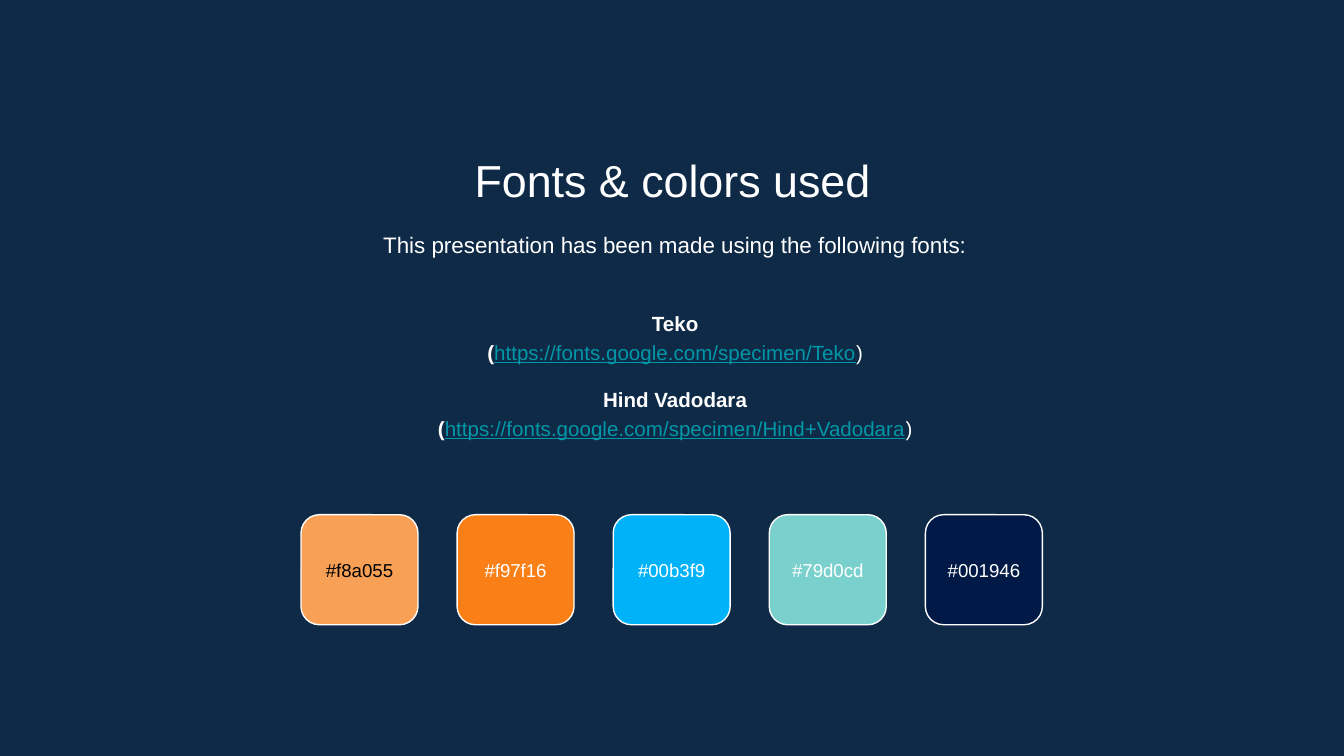
from pptx import Presentation
from pptx.dml.color import RGBColor
from pptx.enum.shapes import MSO_SHAPE
from pptx.enum.text import MSO_ANCHOR, MSO_AUTO_SIZE, PP_ALIGN
from pptx.util import Cm, Pt

ROUNDED = MSO_SHAPE.ROUNDED_RECTANGLE
TOP, MIDDLE = MSO_ANCHOR.TOP, MSO_ANCHOR.MIDDLE
NO_AUTOFIT = MSO_AUTO_SIZE.NONE
CENTER = PP_ALIGN.CENTER

NAVY = RGBColor(0x0E, 0x2A, 0x47)
WHITE = RGBColor(0xFF, 0xFF, 0xFF)
BLACK = RGBColor(0x00, 0x00, 0x00)
LINK_TEAL = RGBColor(0x00, 0x97, 0xA7)

FONTS_USED = [
    ("Teko", "https://fonts.google.com/specimen/Teko"),
    ("Hind Vadodara", "https://fonts.google.com/specimen/Hind+Vadodara"),
]
SWATCHES = [
    ("#f8a055", BLACK),
    ("#f97f16", WHITE),
    ("#00b3f9", WHITE),
    ("#79d0cd", WHITE),
    ("#001946", WHITE),
]


def add_run(paragraph, text, size=11, color=WHITE, bold=False, underline=False):
    paragraph.alignment = CENTER
    run = paragraph.add_run()
    run.text = text
    run.font.name = "Arial"
    run.font.size = Pt(size)
    run.font.color.rgb = color
    run.font.bold = bold
    run.font.underline = underline


def prepare_frame(shape, anchor):
    """Set wrapping, insets and anchor; return the text frame."""
    frame = shape.text_frame
    frame.word_wrap = True
    frame.auto_size = NO_AUTOFIT
    frame.vertical_anchor = anchor
    frame.margin_left = frame.margin_right = Cm(0.25)
    frame.margin_top = frame.margin_bottom = Cm(0.25)
    return frame


presentation = Presentation()
presentation.slide_width = Cm(25.4)
presentation.slide_height = Cm(14.29)
slide = presentation.slides.add_slide(presentation.slide_layouts[5])
slide.background.fill.solid()
slide.background.fill.fore_color.rgb = NAVY

# Title and introduction
title = slide.shapes.title
title.left, title.top = Cm(2.92), Cm(2.64)
title.width, title.height = Cm(19.58), Cm(1.35)
add_run(prepare_frame(title, TOP).paragraphs[0], "Fonts & colors used", size=24)

introduction = slide.shapes.add_textbox(Cm(2.97), Cm(4.04), Cm(19.58), Cm(1.22))
paragraph = prepare_frame(introduction, TOP).paragraphs[0]
paragraph.line_spacing = 1.15
add_run(paragraph, "This presentation has been made using the following fonts:", size=12)

# Font names with their addresses
font_list = slide.shapes.add_textbox(Cm(2.97), Cm(5.33), Cm(19.58), Cm(3.48))
frame = prepare_frame(font_list, MIDDLE)
for index, (name, address) in enumerate(FONTS_USED):
    name_line = frame.add_paragraph() if index else frame.paragraphs[0]
    if index:
        name_line.space_before = Pt(10.5)
    add_run(name_line, name, bold=True)
    address_line = frame.add_paragraph()
    add_run(address_line, "(", bold=True)
    add_run(address_line, address, color=LINK_TEAL, underline=True)
    add_run(address_line, ")")
    name_line.line_spacing = address_line.line_spacing = 1.15

# Colour swatches, each labelled with its own fill
for index, (code, label_color) in enumerate(SWATCHES):
    swatch = slide.shapes.add_shape(
        ROUNDED, Cm(5.69 + 2.95 * index), Cm(9.73), Cm(2.21), Cm(2.08))
    swatch.shadow.inherit = False
    swatch.fill.solid()
    swatch.fill.fore_color.rgb = RGBColor.from_string(code[1:].upper())
    swatch.line.color.rgb = WHITE
    swatch.line.width = Pt(0.75)
    add_run(prepare_frame(swatch, MIDDLE).paragraphs[0], code, size=10, color=label_color)

presentation.save("out.pptx")
